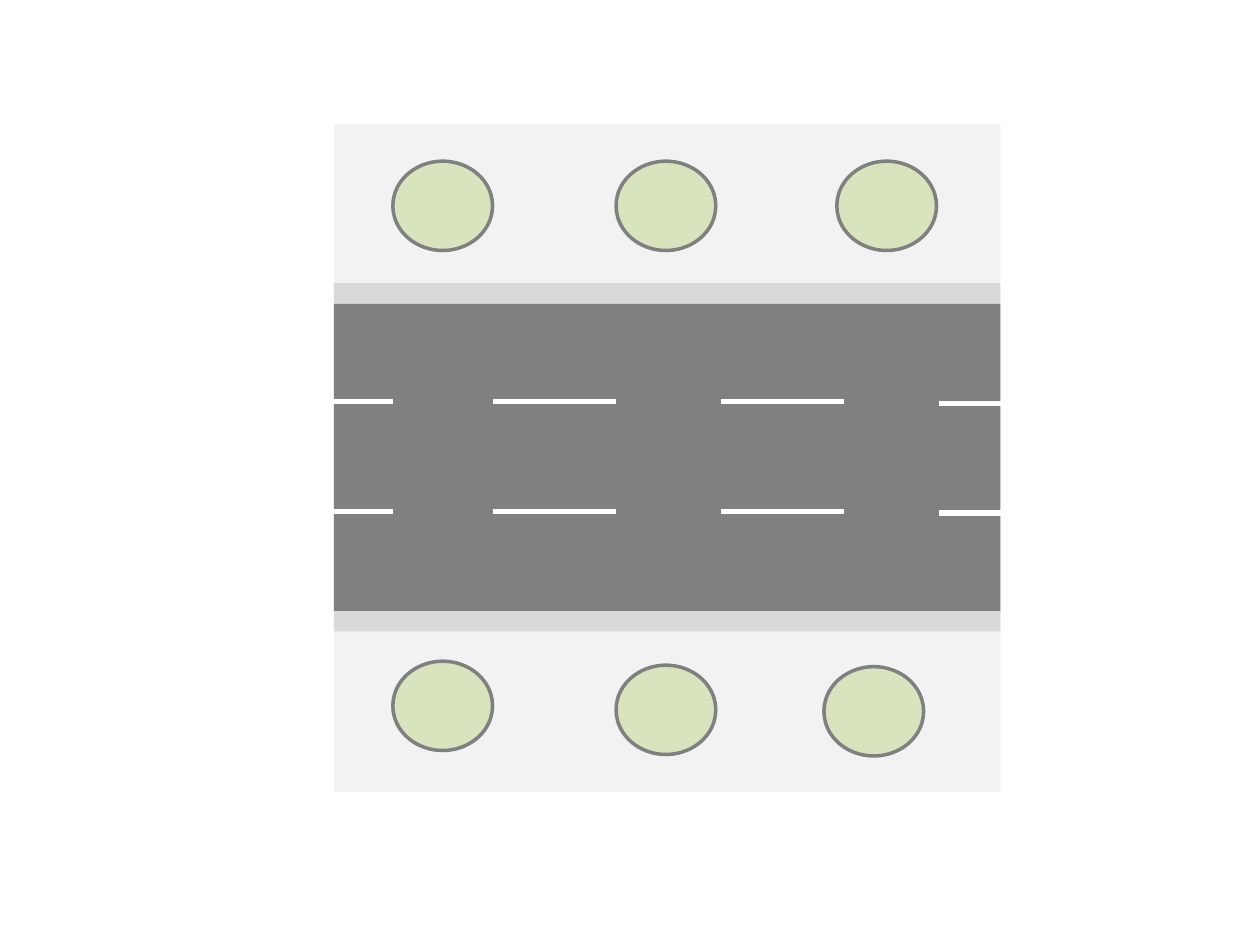
from dataclasses import dataclass
from itertools import product

from pptx import Presentation
from pptx import util as u
from pptx.dml.color import RGBColor
from pptx.enum import shapes
from pptx.oxml import ns, xmlchemy


@dataclass(frozen=True)
class Theme:
    """Colours and line widths."""
    pavement: str = "F2F2F2"
    road: str = "808080"
    kerb: str = "D9D9D9"
    marking: str = "FFFFFF"
    tree: str = "D7E4BD"
    marking_pt: float = 3
    outline_pt: float = 2


@dataclass(frozen=True)
class Band:
    """A strip across the street; lengths in cm."""
    top: float
    height: float
    color: str


@dataclass(frozen=True)
class Dash:
    """A lane marking; lengths in cm."""
    left: float
    right: float
    drop: float = 0


@dataclass(frozen=True)
class Tree:
    """Top left corner of a tree, in cm."""
    left: float
    top: float


THEME = Theme()
STREET_LEFT, STREET_WIDTH = 6.73, 13.44
TREE_WIDTH, TREE_HEIGHT = 2.01, 1.8
ROAD_TOP, ROAD_HEIGHT, KERB = 6.12, 6.2, 0.41
LANE_LINES = (8.1, 10.31)

BANDS = (
    Band(2.51, 13.46, THEME.pavement),
    Band(ROAD_TOP, ROAD_HEIGHT, THEME.road),
    Band(ROAD_TOP - KERB, KERB, THEME.kerb),
    Band(ROAD_TOP + ROAD_HEIGHT, KERB, THEME.kerb),
)
DASHES = (Dash(18.92, 20.17, 0.03), Dash(6.68, 7.92),
          Dash(9.93, 12.42), Dash(14.53, 17.02))
TREES = (
    Tree(7.92, 3.25), Tree(12.42, 3.25), Tree(16.87, 3.25),
    Tree(7.92, 13.33), Tree(12.42, 13.41), Tree(16.61, 13.44),
)


def add_band(s, band: Band) -> None:
    """Draw a plain strip over the full street width."""
    sp = s.shapes.add_shape(
        shapes.MSO_SHAPE.RECTANGLE, u.Cm(STREET_LEFT), u.Cm(band.top),
        u.Cm(STREET_WIDTH), u.Cm(band.height))
    sp.shadow.inherit = False
    sp.fill.solid()
    sp.fill.fore_color.rgb = RGBColor.from_string(band.color)
    sp.line.fill.background()


def add_dash(s, dash: Dash, y: float) -> None:
    """Draw one lane marking, from right to left."""
    line = s.shapes.add_connector(
        shapes.MSO_CONNECTOR.STRAIGHT, u.Cm(dash.right), u.Cm(y + dash.drop),
        u.Cm(dash.left), u.Cm(y + dash.drop))
    line.line.color.rgb = RGBColor.from_string(THEME.marking)
    line.line.width = u.Pt(THEME.marking_pt)
    line.element.spPr.append(xmlchemy.OxmlElement("a:effectLst"))


def add_tree(s, tree: Tree) -> None:
    """Draw a tree seen from above."""
    sp = s.shapes.add_shape(
        shapes.MSO_SHAPE.OVAL, u.Cm(tree.left), u.Cm(tree.top),
        u.Cm(TREE_WIDTH), u.Cm(TREE_HEIGHT))
    sp.shadow.inherit = False
    sp.fill.solid()
    sp.fill.fore_color.rgb = RGBColor.from_string(THEME.tree)
    sp.line.color.rgb = RGBColor.from_string(THEME.road)
    sp.line.width = u.Pt(THEME.outline_pt)


def main() -> None:
    """Build and save the street plan."""
    prs = Presentation()
    prs.slide_width, prs.slide_height = u.Cm(25.4), u.Cm(19.05)
    s = prs.slides.add_slide(prs.slide_layouts[6])
    for band in BANDS:
        add_band(s, band)
    for y, dash in product(LANE_LINES, DASHES):
        add_dash(s, dash, y)
    for tree in TREES:
        add_tree(s, tree)
    prs.save("out.pptx")


main()
